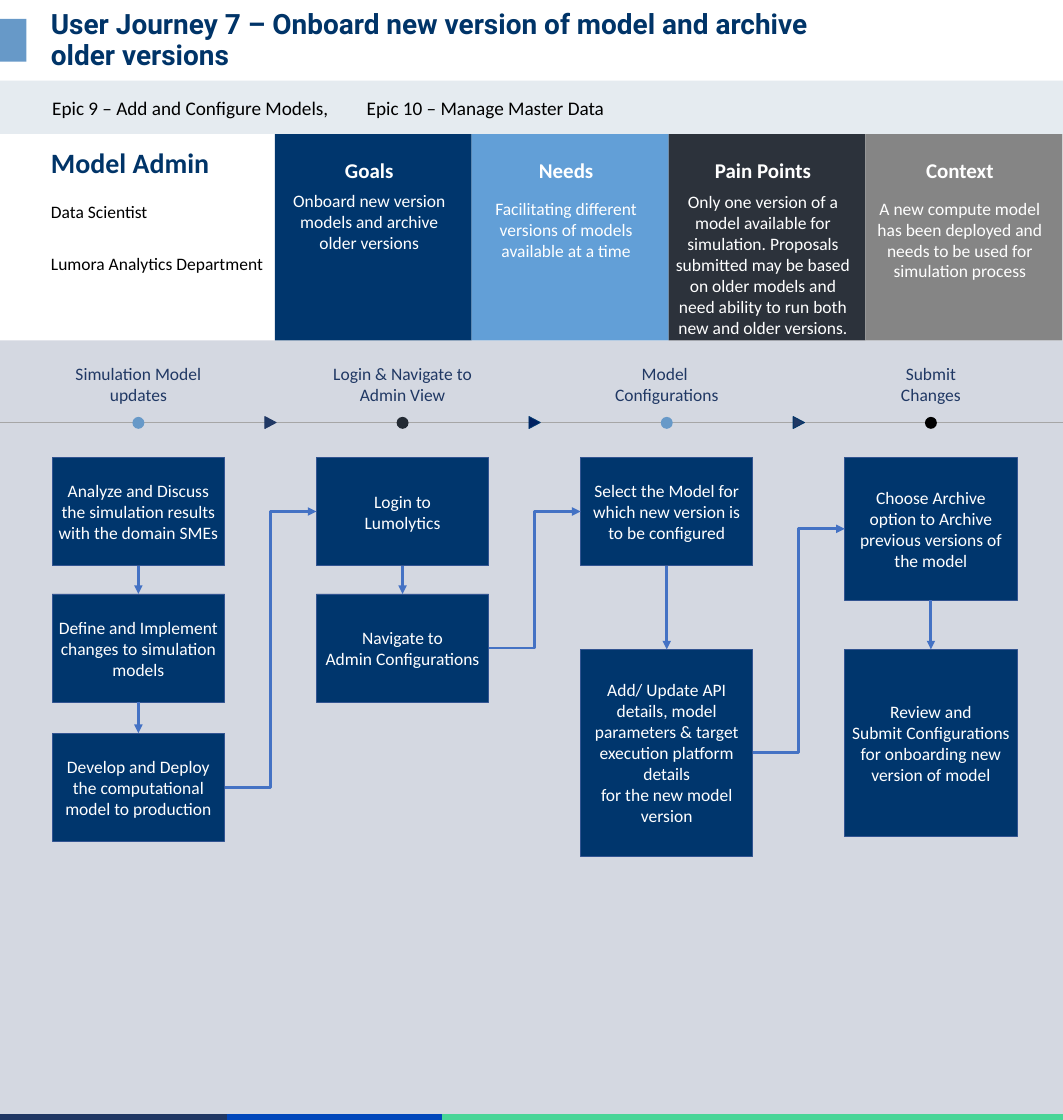
"""Builds the slide for user journey 7: a persona header above a four-stage flow."""
from lxml import etree
from pptx import Presentation
from pptx.dml.color import RGBColor
from pptx.enum.shapes import MSO_CONNECTOR, MSO_SHAPE
from pptx.enum.text import MSO_ANCHOR, PP_ALIGN
from pptx.oxml.ns import qn
from pptx.util import Inches, Pt

RECT, OVAL, TRIANGLE = MSO_SHAPE.RECTANGLE, MSO_SHAPE.OVAL, MSO_SHAPE.ISOSCELES_TRIANGLE
STRAIGHT, ELBOW = MSO_CONNECTOR.STRAIGHT, MSO_CONNECTOR.ELBOW
LEFT, CENTER = PP_ALIGN.LEFT, PP_ALIGN.CENTER
TOP, MIDDLE = MSO_ANCHOR.TOP, MSO_ANCHOR.MIDDLE

WHITE = RGBColor(0xFF, 0xFF, 0xFF)
BLACK = RGBColor(0, 0, 0)
NAVY = RGBColor(0x00, 0x36, 0x6D)
TITLE_NAVY = RGBColor(0x00, 0x34, 0x68)
INDIGO = RGBColor(0x20, 0x38, 0x64)
DEEP_BLUE = RGBColor(0x00, 0x20, 0x60)
SKY = RGBColor(0x62, 0x9F, 0xD7)
STEEL = RGBColor(0x67, 0x99, 0xC8)
CHARCOAL = RGBColor(0x23, 0x2A, 0x33)
SLATE = RGBColor(0x2C, 0x32, 0x3B)
GREY = RGBColor(0x85, 0x85, 0x85)
RULE_GREY = RGBColor(0xA6, 0xA6, 0xA6)
STRIP_TINT = RGBColor(0xE5, 0xEB, 0xF0)
BODY_TINT = RGBColor(0xD4, 0xD8, 0xE1)
BOX_EDGE = RGBColor(0x32, 0x54, 0x91)
ARROW_BLUE = RGBColor(0x44, 0x72, 0xC4)
ROYAL = RGBColor(0x00, 0x47, 0xBB)
GREEN = RGBColor(0x48, 0xD5, 0x97)

TITLE = "User Journey 7 – Onboard new version of model and archive older versions"
EPICS = "Epic 9 – Add and Configure Models, \tEpic 10 – Manage Master Data"
PERSONA = "Model Admin"
PERSONA_DETAILS = "Data Scientist\nLumora Analytics Department"
CARDS = [
    ("Goals", "Onboard new version models and archive older versions", NAVY, 3.02),
    ("Needs", "Facilitating different versions of models available at a time", SKY, 3.14),
    ("Pain Points", "Only one version of a model available for simulation. Proposals "
     "submitted may be based on older models and need ability to run both new and "
     "older versions.", SLATE, 3.04),
    ("Context", "A new compute model has been deployed and needs to be used for "
     "simulation process", GREY, 3.14),
]
STAGES = [
    ("Simulation Model updates", 2.74, STEEL, [
        ("Analyze and Discuss the simulation results with the domain SMEs", 7.27, 1.72),
        ("Define and Implement changes to simulation models", 9.44, 1.72),
        ("Develop and Deploy the computational model to production", 11.65, 1.72)]),
    ("Login & Navigate to Admin View", 2.91, CHARCOAL, [
        ("Login to\nLumolytics", 7.27, 1.72),
        ("Navigate to\nAdmin Configurations", 9.44, 1.72)]),
    ("Model \vConfigurations", 2.91, STEEL, [
        ("Select the Model for which new version is to be configured", 7.27, 1.72),
        ("Add/ Update API details, model parameters & target execution platform "
         "details\nfor the new model version", 10.32, 3.29)]),
    ("Submit Changes", 1.96, BLACK, [
        ("Choose Archive option to Archive previous versions of the model", 7.27, 2.27),
        ("Review and\nSubmit Configurations for onboarding new version of model",
         10.32, 2.98)]),
]
MARKERS = [(INDIGO, INDIGO), (DEEP_BLUE, NAVY), (INDIGO, TITLE_NAVY)]
FOOTER = [(7.02, 9.88, GREEN), (3.42, 3.6, ROYAL), (0, 3.6, INDIGO)]

SLIDE_W, SLIDE_H = 16.9, 17.8
CARD_X, CARD_TOP, CARD_W, CARD_H, CARD_PAD = 4.37, 2.13, 3.13, 3.28, 0.09
STAGE_X, STAGE_PITCH, BOX_W = 0.83, 4.2, 2.74
LINE_Y, DOT = 6.72, 0.19
SITE_TOP, SITE_LEFT, SITE_BOTTOM, SITE_RIGHT = range(4)


def add_block(s, kind, x, y, w, h, fill, edge=None, rotation=0):
    sp = s.shapes.add_shape(kind, Inches(x), Inches(y), Inches(w), Inches(h))
    sp.shadow.inherit = False
    sp.fill.solid()
    sp.fill.fore_color.rgb = fill
    if edge is None:
        sp.line.fill.background()
    else:
        sp.line.color.rgb = edge
        sp.line.width = Pt(1)
    sp.rotation = rotation
    return sp


def write(sp, text, size, color, align=CENTER, anchor=TOP, bold=False,
          font="Calibri", insets=(0.1, 0.05, 0.1, 0.05)):
    tf = sp.text_frame
    tf.word_wrap = True
    tf.vertical_anchor = anchor
    tf.margin_left, tf.margin_top, tf.margin_right, tf.margin_bottom = map(Inches, insets)
    tf.text = text
    for p in tf.paragraphs:
        p.alignment = align
        for r in p.runs:
            r.font.name, r.font.size, r.font.bold = font, Pt(size), bold
            r.font.color.rgb = color
    return tf


def add_text(s, x, y, w, h, *args, **style):
    sp = s.shapes.add_textbox(Inches(x), Inches(y), Inches(w), Inches(h))
    return write(sp, *args, **style)


def add_line(s, kind, color, width, start=(0, 0), end=(0, 0)):
    c = s.shapes.add_connector(kind, *map(Inches, start + end))
    c.line.color.rgb = color
    c.line.width = Pt(width)
    etree.SubElement(c.element.spPr, qn("a:effectLst"))
    return c


def add_arrow(s, kind, source, source_site, target, target_site):
    c = add_line(s, kind, ARROW_BLUE, 3.25)
    c.begin_connect(source, source_site)
    c.end_connect(target, target_site)
    ln = c.element.spPr.find(qn("a:ln"))
    etree.SubElement(ln, qn("a:tailEnd"), type="triangle")


def add_header(s):
    flush = (0, 0.05, 0.1, 0.05)
    add_block(s, RECT, 0, 0.3, 0.42, 0.68, STEEL)
    add_block(s, RECT, 0, 1.28, SLIDE_W, 0.85, STRIP_TINT)
    tf = add_text(s, 0.83, 1.48, 15.2, 0.47, EPICS, 22, BLACK, LEFT, insets=flush)
    pPr = tf.paragraphs[0]._p.get_or_add_pPr()
    tabs = etree.SubElement(pPr, qn("a:tabLst"))
    etree.SubElement(tabs, qn("a:tab"), pos=str(Inches(5)), algn="l")
    tf = add_text(s, 0.71, 0.2, 13.26, 0.9, TITLE, 32, TITLE_NAVY, LEFT, MIDDLE,
                  bold=True, font="Roboto")
    tf.paragraphs[0].line_spacing = 0.9
    add_text(s, 0.81, 2.26, 2.93, 0.64, PERSONA, 32, TITLE_NAVY, LEFT,
             bold=True, insets=flush)
    tf = add_text(s, 0.81, 3.14, 3.66, 1.28, PERSONA_DETAILS, 20, BLACK, LEFT,
                  insets=flush)
    tf.paragraphs[1].space_before = Pt(36)


def add_cards(s):
    text_w, none = 2.82, (0, 0, 0, 0)
    for i, (heading, body, color, body_top) in enumerate(CARDS):
        x = CARD_X + i * CARD_W
        add_block(s, RECT, x, CARD_TOP, CARD_W, CARD_H, color)
        add_text(s, x + CARD_PAD, 2.5, text_w, 0.4, heading, 24, WHITE,
                 anchor=MIDDLE, bold=True, insets=none)
        add_text(s, x + CARD_PAD, body_top, text_w, CARD_TOP + CARD_H - body_top,
                 body, 20, WHITE, insets=none)


def add_journey(s):
    add_line(s, STRAIGHT, RULE_GREY, 1.5, (0, LINE_Y), (SLIDE_W, LINE_Y))
    flow = []
    for i, (label, label_w, color, steps) in enumerate(STAGES):
        x = STAGE_X + i * STAGE_PITCH
        mid = x + BOX_W / 2
        add_text(s, mid - label_w / 2, 5.72, label_w, 0.77, label, 20, INDIGO)
        add_block(s, OVAL, mid - DOT / 2, LINE_Y - DOT / 2, DOT, DOT, color)
        boxes = []
        for text, top, height in steps:
            sp = add_block(s, RECT, x, top, BOX_W, height, NAVY, BOX_EDGE)
            write(sp, text, 20, WHITE, anchor=MIDDLE)
            boxes.append(sp)
        for upper, lower in zip(boxes, boxes[1:]):
            add_arrow(s, STRAIGHT, upper, SITE_BOTTOM, lower, SITE_TOP)
        flow.append(boxes)
    for before, after in zip(flow, flow[1:]):
        add_arrow(s, ELBOW, before[-1], SITE_RIGHT, after[0], SITE_LEFT)
    for i, (fill, edge) in enumerate(MARKERS):
        mid = STAGE_X + BOX_W / 2 + (i + 0.5) * STAGE_PITCH
        add_block(s, TRIANGLE, mid - DOT / 2, LINE_Y - DOT / 2, DOT, 0.18, fill, edge, 90)


def main():
    prs = Presentation()
    prs.slide_width, prs.slide_height = Inches(SLIDE_W), Inches(SLIDE_H)
    s = prs.slides.add_slide(prs.slide_layouts[6])
    body_top = CARD_TOP + CARD_H
    add_block(s, RECT, 0, body_top, SLIDE_W, SLIDE_H - body_top, BODY_TINT)
    for x, w, color in FOOTER:
        add_block(s, RECT, x, 17.71, w, SLIDE_H - 17.71, color, color)
    add_header(s)
    add_cards(s)
    add_journey(s)
    prs.save("out.pptx")


if __name__ == "__main__":
    main()
